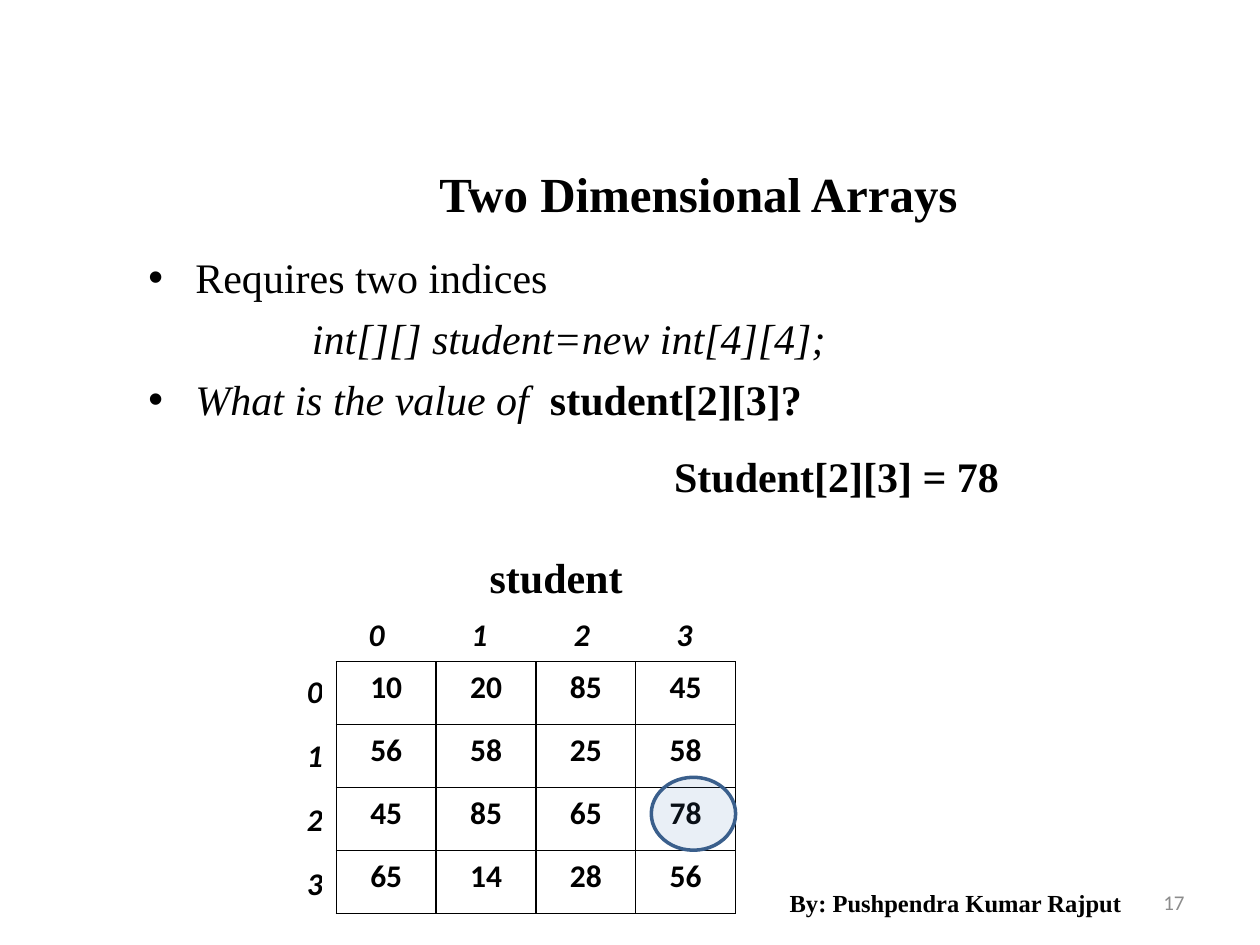
from lxml.etree import SubElement
from pptx import Presentation
from pptx.dml.color import RGBColor
from pptx.enum.shapes import MSO_SHAPE
from pptx.enum.text import MSO_ANCHOR, PP_ALIGN
from pptx.oxml.ns import qn
from pptx.util import Cm, Pt

SERIF, SANS = "Times New Roman", "Calibri"
BLACK, WHITE, GREY = "000000", "FFFFFF", "8C8C8C"
SCORES = [[10, 20, 85, 45], [56, 58, 25, 58], [45, 85, 65, 78], [65, 14, 28, 56]]


def color(value):
    return RGBColor.from_string(value)


def add_span(para, text, size, font=SERIF, ink=BLACK, bold=False, italic=False):
    span = para.add_run()
    span.text = text
    span.font.name, span.font.size = font, Pt(size)
    span.font.bold, span.font.italic = bold, italic
    span.font.color.rgb = color(ink)


def add_frame(page, left, top, width, height, anchor=MSO_ANCHOR.TOP):
    box = page.shapes.add_textbox(Cm(left), Cm(top), Cm(width), Cm(height))
    frame = box.text_frame
    frame.word_wrap = True
    frame.vertical_anchor = anchor
    frame.margin_left = frame.margin_right = Cm(0.25)
    frame.margin_top, frame.margin_bottom = Cm(0.2), Cm(0.13)
    return frame


def add_line(page, text, left, top, width, height, size, align,
             anchor=MSO_ANCHOR.TOP, **style):
    para = add_frame(page, left, top, width, height, anchor).paragraphs[0]
    para.alignment = align
    add_span(para, text, size, **style)
    return para


def add_body(page, left, top, width, height):
    frame = add_frame(page, left, top, width, height)
    # Each paragraph: spans, left margin, space before, bullet
    lines = [
        ([("Requires two indices", {})], 0.95, 0, True),
        ([("int[][] student=new int[4][4];", {"italic": True})], 3.3, 6, False),
        ([("What is the value of  ", {"italic": True}),
          ("student[2][3]?", {"bold": True})], 0.95, 6, True),
        ([("student", {"bold": True})], 6.88, 73, False),
    ]
    for index, (spans, margin, space, bullet) in enumerate(lines):
        para = frame.paragraphs[0] if index == 0 else frame.add_paragraph()
        para.alignment = PP_ALIGN.JUSTIFY
        para.space_before = Pt(space)
        props = para._p.get_or_add_pPr()
        props.set("marL", str(Cm(margin)))
        if bullet:
            props.set("indent", str(-Cm(0.95)))
            SubElement(props, qn("a:buFont"), typeface="Arial")
            SubElement(props, qn("a:buChar"), char="•")
        for text, style in spans:
            add_span(para, text, 24, **style)


def set_borders(cell, ink):
    props = cell._tc.get_or_add_tcPr()
    for side in ("lnL", "lnR", "lnT", "lnB"):
        line = SubElement(props, qn(f"a:{side}"), w=str(Pt(1)))
        if ink is None:
            SubElement(line, qn("a:noFill"))
        else:
            fill = SubElement(line, qn("a:solidFill"))
            SubElement(fill, qn("a:srgbClr"), val=ink)


def add_grid(page, rows, left, top, width, height, border, italic=False, margin=0.25):
    table = page.shapes.add_table(len(rows), len(rows[0]), Cm(left), Cm(top),
                                  Cm(width), Cm(height)).table
    table.first_row = table.horz_banding = False
    for row, values in enumerate(rows):
        for column, value in enumerate(values):
            cell = table.cell(row, column)
            cell.margin_left, cell.margin_right = Cm(0.25), Cm(margin)
            set_borders(cell, border)
            cell.fill.background()
            para = cell.text_frame.paragraphs[0]
            para.alignment = PP_ALIGN.CENTER
            add_span(para, str(value), 18, SANS, bold=True, italic=italic)


def add_array(page, left, top, width, height):
    # Values, with column indices above and row indices on the left
    add_grid(page, SCORES, left, top, width, height, BLACK)
    add_grid(page, [range(4)], left - 0.22, top - 1.04, width + 0.22, 1.04, None, True)
    add_grid(page, [[i] for i in range(4)], left - 0.85, top + 0.1, 0.58,
             height + 0.1, WHITE, True, 0)


def add_highlight(page, left, top, width, height):
    ring = page.shapes.add_shape(MSO_SHAPE.OVAL, Cm(left), Cm(top), Cm(width), Cm(height))
    ring.shadow.inherit = False
    ring.fill.solid()
    ring.fill.fore_color.rgb = color("4F81BD")
    tint = ring._element.spPr.find(qn("a:solidFill"))[0]
    SubElement(tint, qn("a:alpha"), val="12000")
    ring.line.color.rgb = color("3A5F8C")
    ring.line.width = Pt(2)


def add_footer(page, left, top, width, height):
    add_line(page, "17", left + 2.97, top, width - 2.97, height, 12, PP_ALIGN.RIGHT,
             MSO_ANCHOR.MIDDLE, font=SANS, ink=GREY)
    add_line(page, "By: Pushpendra Kumar Rajput", left, top, 8.05, height, 14,
             PP_ALIGN.CENTER, MSO_ANCHOR.MIDDLE, bold=True)


def main():
    deck = Presentation()
    deck.slide_width, deck.slide_height = Cm(25.4), Cm(19.05)
    page = deck.slides.add_slide(deck.slide_layouts[6])

    add_footer(page, 15.24, 17.65, 8.89, 1.02)
    add_body(page, 2.74, 4.88, 22.22, 7.62)
    title = add_line(page, "Two Dimensional Arrays", 4.24, 2.97, 19.68, 1.47, 28,
                     PP_ALIGN.CENTER, bold=True)
    title.line_spacing = 1.1
    add_array(page, 6.78, 13.34, 8.05, 5.08)
    add_highlight(page, 13.13, 15.67, 1.7, 1.47)
    # Answer to the question
    add_line(page, "Student[2][3] = 78", 13.34, 8.89, 7.62, 1.47, 24,
             PP_ALIGN.JUSTIFY, bold=True)
    deck.save("out.pptx")


if __name__ == "__main__":
    main()
